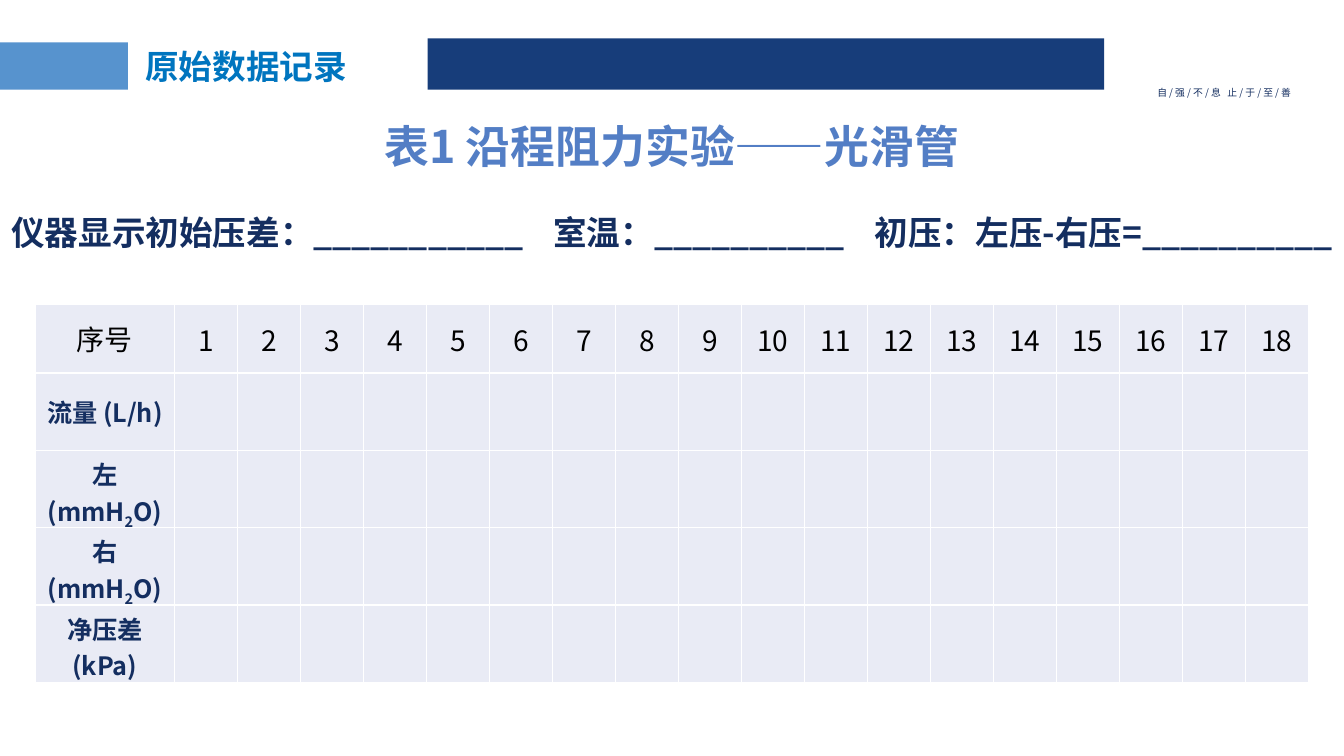
from pptx import Presentation
from pptx.dml.color import RGBColor
from pptx.enum.shapes import MSO_SHAPE as Shape
from pptx.enum.text import MSO_ANCHOR as Anchor, MSO_AUTO_SIZE as AutoSize, PP_ALIGN as Align
from pptx.oxml.ns import qn
from pptx.util import Inches, Pt
from lxml.etree import SubElement

FONT = "Noto Sans CJK SC"
COLORS = {"navy": "142E60", "bar": "173D7A", "tab": "5793CE", "heading": "0075BF",
          "caption": "537EC5", "cell": "E9EBF5", "black": "000000", "white": "FFFFFF"}

# Content: a piece is a string, or a string with run attributes
HEADING = ["原始数据记录"]
SLOGAN = ["自 / 强 / 不 / 息", (" ", {"spc": "310"}), "止 / 于 / 至 / 善"]
CAPTION = ["表1 沿程阻力实验——光滑管"]
WIDE_GAP = (" ", {"spc": "1600"})
READINGS = ["仪器显示初始压差：___________", WIDE_GAP, "室温：__________", WIDE_GAP,
            "初压：左压-右压=__________"]
SUBSCRIPT_2 = ("2", {"baseline": "-25000"})
ROW_LABELS = [["序号"], ["流量 (L/h)"], ["左 (mmH", SUBSCRIPT_2, "O)"],
              ["右 (mmH", SUBSCRIPT_2, "O)"], ["净压差 (kPa)"]]
TRIALS = 18

# Layout in inches
BARS = [("bar", (4.24, 0.38, 6.71, 0.51)), ("tab", (0, 0.42, 1.27, 0.47))]
TABLE = (0.35, 3.02, 12.63, 3.75)
LABEL_WIDTH = 1.38
HEADER_HEIGHT = 0.68


def color(name):
    return RGBColor.from_string(COLORS[name])


def write(frame, pieces, size, ink, bold=False, align=Align.LEFT, spacing=None):
    para = frame.paragraphs[0]
    para.alignment = align
    para.space_before = Pt(0)
    para.line_spacing = spacing
    for piece in pieces:
        text, attributes = (piece, {}) if isinstance(piece, str) else piece
        span = para.add_run()
        span.text = text
        span.font.size = Pt(size)
        span.font.bold = bold
        span.font.color.rgb = color(ink)
        span.font.name = FONT
        props = span._r.get_or_add_rPr()
        SubElement(props, qn("a:ea")).set("typeface", FONT)
        for key, value in attributes.items():
            props.set(key, value)


def add_text(page, area, pieces, **look):
    frame = page.shapes.add_textbox(*map(Inches, area)).text_frame
    frame.word_wrap = True
    frame.auto_size = AutoSize.SHAPE_TO_FIT_TEXT
    write(frame, pieces, spacing=0.9, **look)


def style_cell(cell):
    cell.vertical_anchor = Anchor.MIDDLE
    props = cell._tc.get_or_add_tcPr()
    for side in ("a:lnL", "a:lnR", "a:lnT", "a:lnB"):
        line = SubElement(props, qn(side), w=str(Pt(1)))
        fill = SubElement(line, qn("a:solidFill"))
        SubElement(fill, qn("a:srgbClr"), val=COLORS["white"])
    cell.fill.solid()
    cell.fill.fore_color.rgb = color("cell")


deck = Presentation()
deck.slide_width, deck.slide_height = Inches(13.33), Inches(7.5)
page = deck.slides.add_slide(deck.slide_layouts[5])

# Header bars
for name, area in BARS:
    bar = page.shapes.add_shape(Shape.RECTANGLE, *map(Inches, area))
    bar.shadow.inherit = False
    bar.fill.solid()
    bar.fill.fore_color.rgb = color(name)
    bar.line.fill.background()

# Heading
title = page.shapes.title
title.left, title.top, title.width, title.height = map(Inches, (1.34, 0.45, 2.89, 0.47))
title.text_frame.auto_size = AutoSize.NONE
title.text_frame.vertical_anchor = Anchor.MIDDLE
write(title.text_frame, HEADING, 24, "heading", bold=True, spacing=0.9)

# Slogan, caption and readings line
add_text(page, (11.38, 0.82, 1.73, 0.22), SLOGAN, size=7, ink="navy")
add_text(page, (3.41, 1.19, 6.51, 0.64), CAPTION, size=32, ink="caption",
         bold=True, align=Align.CENTER)
add_text(page, (0, 2.1, 13.33, 0.51), READINGS, size=24, ink="navy",
         bold=True, align=Align.CENTER)

# Record table
rows = len(ROW_LABELS)
table = page.shapes.add_table(rows, TRIALS + 1, *map(Inches, TABLE)).table
table.first_row = table.horz_banding = False
for index, column in enumerate(table.columns):
    column.width = Inches((TABLE[2] - LABEL_WIDTH) / TRIALS if index else LABEL_WIDTH)
for index, row in enumerate(table.rows):
    row.height = Inches((TABLE[3] - HEADER_HEIGHT) / (rows - 1) if index else HEADER_HEIGHT)
for cell in table.iter_cells():
    style_cell(cell)
for index, label in enumerate(ROW_LABELS):
    look = {"size": 18, "ink": "navy", "bold": True} if index else {"size": 20, "ink": "black"}
    write(table.cell(index, 0).text_frame, label, align=Align.CENTER, **look)
for trial in range(1, TRIALS + 1):
    cell = table.cell(0, trial)
    cell.margin_left = cell.margin_right = cell.margin_top = Inches(0.01)
    cell.margin_bottom = 0
    write(cell.text_frame, [str(trial)], 20, "black", align=Align.CENTER)

deck.save("out.pptx")
